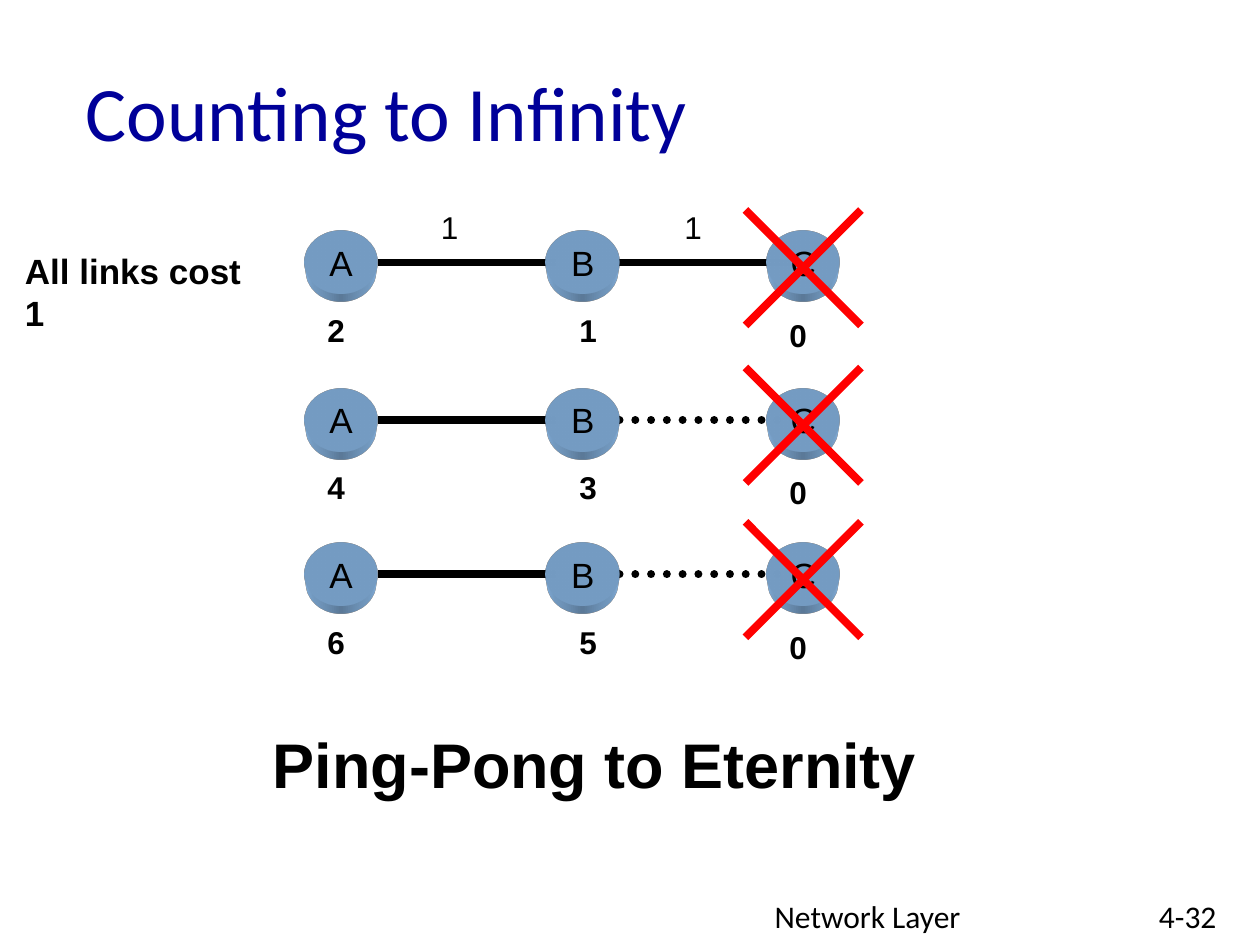
from lxml.etree import SubElement, fromstring
from pptx import Presentation
from pptx.dml.color import RGBColor
from pptx.enum.dml import MSO_LINE
from pptx.enum.shapes import MSO_CONNECTOR, MSO_SHAPE
from pptx.enum.text import MSO_ANCHOR, PP_ALIGN
from pptx.oxml.ns import nsdecls, qn
from pptx.util import Inches, Pt

UNIT = Inches(1) / 12
BLACK, NAVY, RED, SKY = "000000", "000099", "FF0000", "99CCFF"
DEPTH = (
    f'<a:scene3d {nsdecls("a")}><a:camera prst="legacyPerspectiveBottom"/>'
    '<a:lightRig rig="legacyFlat3" dir="t"/></a:scene3d>',
    f'<a:sp3d {nsdecls("a")} extrusionH="430200" prstMaterial="legacyMatte">'
    '<a:bevelT w="13500" h="13500" prst="angle"/>'
    '<a:bevelB w="13500" h="13500" prst="angle"/>'
    f'<a:extrusionClr><a:srgbClr val="{SKY}"/></a:extrusionClr></a:sp3d>',
)


def color(value):
    return RGBColor.from_string(value)


def grid(*units):
    return [round(unit * UNIT) for unit in units]


class NetworkSlide:
    font = {"name": "Arial", "size": 18, "bold": False, "color": BLACK}
    line_width = Pt(4.5)

    def __init__(self, deck):
        self.page = deck.slides.add_slide(deck.slide_layouts[6])

    def label(self, shape, text, align=PP_ALIGN.LEFT, anchor=MSO_ANCHOR.TOP, wrap=True, **style):
        frame = shape.text_frame
        for name, value in {"word_wrap": wrap, "vertical_anchor": anchor}.items():
            setattr(frame, name, value)
        para = frame.paragraphs[0]
        para.alignment = align
        span = para.add_run()
        span.text = text
        look = {**self.font, **style}
        span.font.color.rgb = color(look.pop("color"))
        look["size"] = Pt(look["size"])
        for name, value in look.items():
            setattr(span.font, name, value)

    def text(self, place, text, **style):
        self.label(self.page.shapes.add_textbox(*grid(*place)), text, **style)

    def router(self, column, row, name):
        shape = self.page.shapes.add_shape(MSO_SHAPE.OVAL, *grid(column, row, 7, 6))
        shape.shadow.inherit = False
        shape.fill.solid()
        shape.fill.fore_color.rgb = color(SKY)
        shape.line.fill.background()
        for part in DEPTH:
            shape._element.spPr.append(fromstring(part))
        self.label(shape, name, PP_ALIGN.CENTER, MSO_ANCHOR.MIDDLE, False, size=20)

    def line(self, start, end, tint=BLACK, dotted=False):
        link = self.page.shapes.add_connector(MSO_CONNECTOR.STRAIGHT, *grid(*start, *end))
        link.line.width = self.line_width
        link.line.color.rgb = color(tint)
        if dotted:
            link.line.dash_style = MSO_LINE.ROUND_DOT
            link._element.spPr.find(qn("a:ln")).set("cap", "rnd")
        SubElement(link._element.spPr, qn("a:effectLst"))

    def cross(self, column, row, size):
        right, bottom = column + size, row + size
        self.line((column, row), (right, bottom), RED)
        self.line((column, bottom), (right, row), RED)

    def chain(self, row, distances, broken):
        axis = row + 3
        self.line((36, axis), (53, axis))
        self.line((59, axis), (76, axis), dotted=broken)
        for name, column in zip("ABC", (29, 52, 73)):
            self.router(column, row, name)
        for distance, column, drop in zip(distances, (30, 54, 74), (7, 7, 7.5)):
            self.text((column, row + drop, 4, 4.8), distance,
                      align=PP_ALIGN.CENTER, wrap=False, bold=True)
        self.cross(71, row - 2, 11)


def main():
    deck = Presentation()
    deck.slide_width, deck.slide_height = Inches(10), Inches(7.5)
    slide = NetworkSlide(deck)
    slide.text((7, 3, 102, 15), "Counting to Infinity", anchor=MSO_ANCHOR.MIDDLE,
               name="Calibri", size=44, color=NAVY)
    for row, distances, broken in ((22, "210", False), (37, "430", True), (51.7, "650", True)):
        slide.chain(row, distances, broken)
    for column in (40.8, 64):
        slide.text((column, 19.2, 3.7, 4.8), "1", wrap=False)
    slide.text((1.2, 23.2, 25.7, 5.2), "All links cost 1", size=20, bold=True)
    slide.text((24.8, 68.5, 63.7, 8.4), "Ping-Pong to Eternity",
               align=PP_ALIGN.CENTER, wrap=False, size=36, bold=True)
    slide.text((72.6, 84.8, 38, 3.7), "Network Layer", name="Calibri")
    slide.text((109.2, 84.8, 8.9, 3.6), "4-32", name="Calibri")
    deck.save("out.pptx")


if __name__ == "__main__":
    main()
